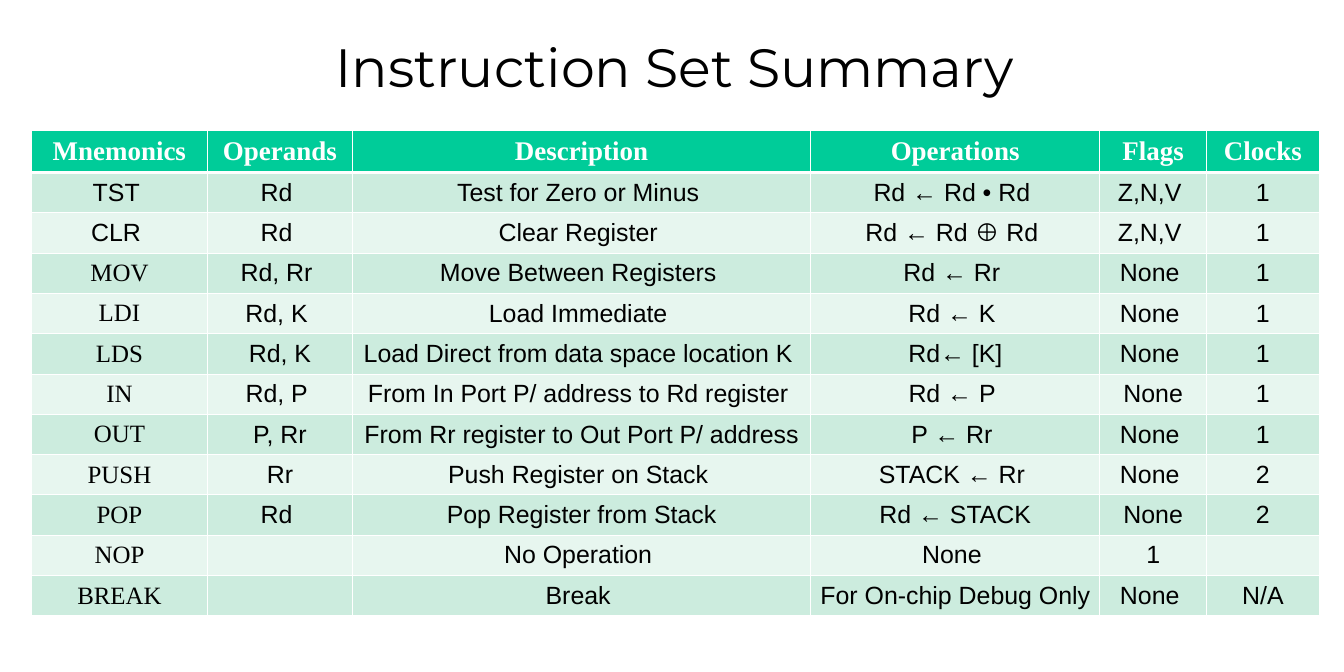
import pptx
import pptx.util
import pptx.dml.color
import pptx.enum.text
import pptx.oxml
import pptx.oxml.ns

Inches = pptx.util.Inches
Pt = pptx.util.Pt
RGBColor = pptx.dml.color.RGBColor
CENTER = pptx.enum.text.PP_ALIGN.CENTER
MIDDLE = pptx.enum.text.MSO_ANCHOR.MIDDLE

BLACK = RGBColor(0x00, 0x00, 0x00)
WHITE = RGBColor(0xFF, 0xFF, 0xFF)
GREEN = RGBColor(0x00, 0xCC, 0x99)
BANDS = [RGBColor(0xE7, 0xF6, 0xEF), RGBColor(0xCC, 0xEC, 0xDE)]


def style_paragraph(p, name, size, color, bold=False):
    p.alignment = CENTER
    p.font.name = name
    p.font.size = Pt(size)
    p.font.color.rgb = color
    p.font.bold = bold


def add_borders(cell, bottom, top):
    tcPr = cell._tc.get_or_add_tcPr()
    for side, width in (("L", 1), ("R", 1), ("T", top), ("B", bottom)):
        tcPr.append(pptx.oxml.parse_xml(
            f'<a:ln{side} {pptx.oxml.ns.nsdecls("a")} w="{Pt(width)}">'
            f'<a:solidFill><a:srgbClr val="{WHITE}"/></a:solidFill></a:ln{side}>'))


prs = pptx.Presentation()
prs.slide_width = Inches(18)
prs.slide_height = Inches(9)
s = prs.slides.add_slide(prs.slide_layouts[6])

title = s.shapes.add_textbox(Inches(2.44), Inches(0.42), Inches(13.2), Inches(0.92))
tf = title.text_frame
tf.word_wrap = True
tf.vertical_anchor = MIDDLE
tf.text = "Instruction Set Summary"
style_paragraph(tf.paragraphs[0], "Montserrat", 52, BLACK)

instructions = [
    ("Mnemonics", "Operands", "Description", "Operations", "Flags", "Clocks"),
    ("TST ", "Rd ", "Test for Zero or Minus ", "Rd ← Rd • Rd ", "Z,N,V ", "1"),
    ("CLR ", "Rd ", "Clear Register ", "Rd ← Rd ⊕ Rd ", "Z,N,V ", "1"),
    ("MOV", "Rd, Rr ", "Move Between Registers ", "Rd ← Rr ", "None ", "1"),
    ("LDI", "Rd, K ", "Load Immediate ", "Rd ← K ", "None ", "1"),
    ("LDS", "Rd, K", "Load Direct from data space location K ", "Rd← [K]", "None ", "1"),
    ("IN", "Rd, P ", "From In Port P/ address to Rd register ", "Rd ← P ", "None", "1"),
    ("OUT", " P, Rr ", "From Rr register to Out Port P/ address", "P ← Rr ", "None ", "1"),
    ("PUSH", "Rr", "Push Register on Stack ", "STACK ← Rr ", "None ", "2"),
    ("POP", "Rd ", " Pop Register from Stack ", " Rd ← STACK ", "None", "2"),
    ("NOP", "", "No Operation ", "None ", "1", ""),
    ("BREAK", "", "Break ", "For On-chip Debug Only ", "None ", "N/A"),
]
col_widths = [2.36, 1.94, 6.14, 3.87, 1.43, 1.51]

table = s.shapes.add_table(len(instructions), len(col_widths), Inches(0.42), Inches(1.75),
                           Inches(17.25), Inches(6.5)).table
for column, width in zip(table.columns, col_widths):
    column.width = Inches(width)

for i, instruction in enumerate(instructions):
    header = i == 0
    table.rows[i].height = Inches(0.56 if header else 0.54)
    for j, text in enumerate(instruction):
        cell = table.cell(i, j)
        cell.margin_left = cell.margin_right = Inches(0.12)
        cell.margin_top = cell.margin_bottom = Inches(0.06)
        cell.vertical_anchor = MIDDLE
        add_borders(cell, 3 if header else 1, 3 if i == 1 else 1)
        cell.fill.solid()
        cell.fill.fore_color.rgb = GREEN if header else BANDS[i % 2]
        cell.text = text
        p = cell.text_frame.paragraphs[0]
        if header:
            style_paragraph(p, "Times New Roman", 26, WHITE, True)
        else:
            serif = j == 0 and i > 2
            style_paragraph(p, "Times New Roman" if serif else "Arial", 24, BLACK)

prs.save("out.pptx")
